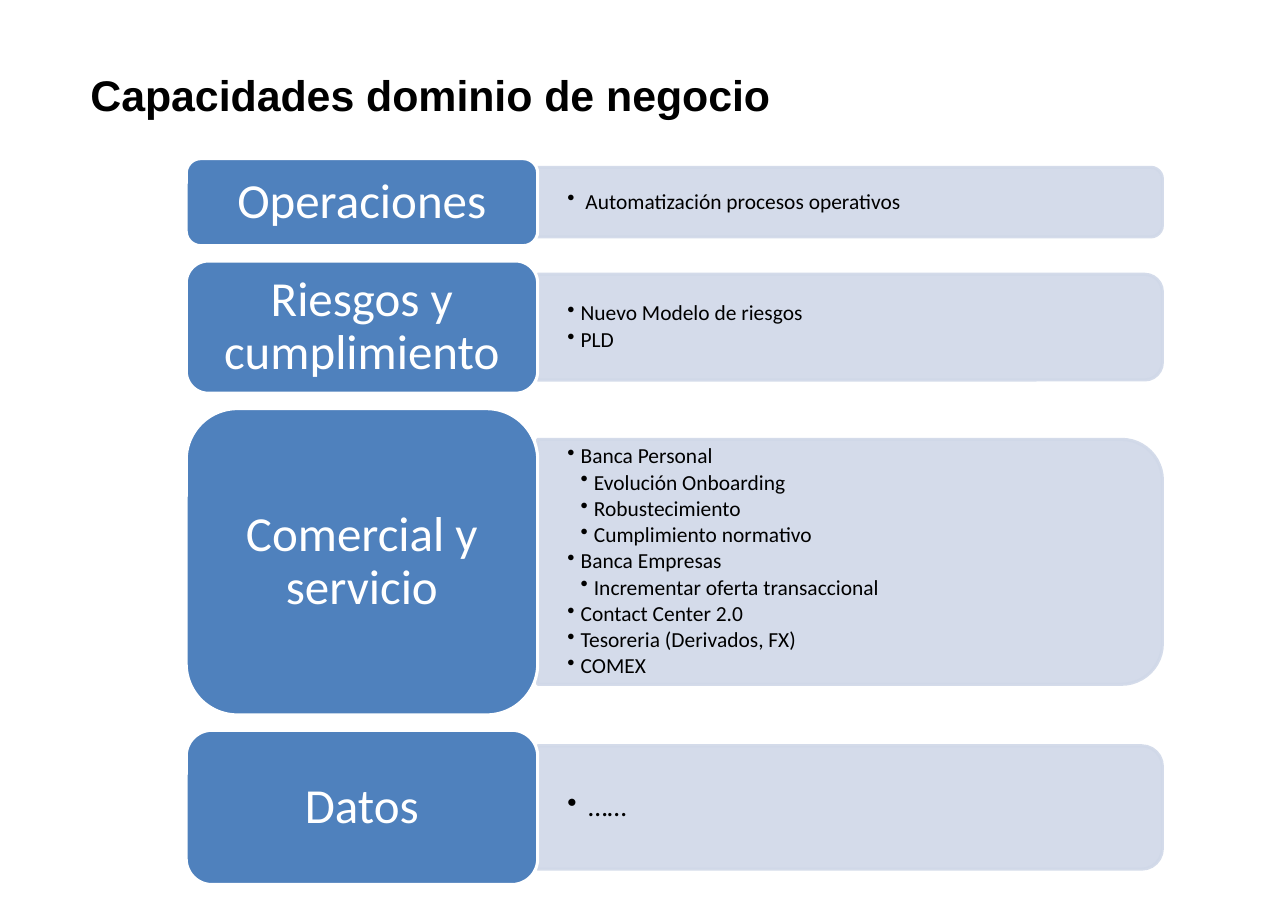
import pptx
import pptx.util
import pptx.dml.color
import pptx.enum.shapes
import pptx.enum.text
import pptx.oxml.ns
import lxml.etree

Inches, Pt = pptx.util.Inches, pptx.util.Pt
RGBColor = pptx.dml.color.RGBColor
MSO_SHAPE = pptx.enum.shapes.MSO_SHAPE
MSO_ANCHOR = pptx.enum.text.MSO_ANCHOR
PP_ALIGN = pptx.enum.text.PP_ALIGN
qn = pptx.oxml.ns.qn

BLACK = RGBColor(0x00, 0x00, 0x00)
WHITE = RGBColor(0xFF, 0xFF, 0xFF)
BLUE = RGBColor(0x4F, 0x81, 0xBD)
PALE_BLUE = RGBColor(0xD0, 0xD8, 0xE8)

LABEL_LEFT, LABEL_WIDTH = 1.69, 3.19
PANEL_LEFT, PANEL_WIDTH = LABEL_LEFT + LABEL_WIDTH, 5.67
FIRST_TOP, GAP = 1.44, 0.14
PANEL_RATIO = 0.8  # panel height relative to its label

# label, label height, bullet size, bullet hang, [(level, text)]
DOMAINS = [
    ("Operaciones", 0.79, 14, 0.12, [(1, " Automatización procesos operativos")]),
    ("Riesgos y cumplimiento", 1.2, 14, 0.12, [
        (1, "Nuevo Modelo de riesgos"),
        (1, "PLD"),
    ]),
    ("Comercial y servicio", 2.78, 14, 0.12, [
        (1, "Banca Personal"),
        (2, "Evolución Onboarding"),
        (2, "Robustecimiento"),
        (2, "Cumplimiento normativo"),
        (1, "Banca Empresas"),
        (2, "Incrementar oferta transaccional"),
        (1, "Contact Center 2.0"),
        (1, "Tesoreria (Derivados, FX)"),
        (1, "COMEX"),
    ]),
    ("Datos", 1.4, 18, 0.19, [(1, "……")]),
]


def add_block(shape_type, left, top, width, height, fill, line):
    sp = s.shapes.add_shape(shape_type, Inches(left), Inches(top), Inches(width), Inches(height))
    sp.shadow.inherit = False
    sp.fill.solid()
    sp.fill.fore_color.rgb = fill
    sp.line.color.rgb = line
    sp.line.width = Pt(2)
    return sp


def style_paragraph(p, size, color):
    p.font.name = "Calibri"
    p.font.size = Pt(size)
    p.font.color.rgb = color
    p.line_spacing = 0.9


prs = pptx.Presentation()
prs.slide_width, prs.slide_height = Inches(11.69), Inches(8.27)
s = prs.slides.add_slide(prs.slide_layouts[5])

title = s.shapes.title
title.left, title.top = Inches(0.82), Inches(0.62)
title.width, title.height = Inches(9.74), Inches(0.47)
tf = title.text_frame
tf.text = "Capacidades dominio de negocio"
tf.auto_size = pptx.enum.text.MSO_AUTO_SIZE.NONE
tf.vertical_anchor = MSO_ANCHOR.TOP
tf.margin_left = tf.margin_right = tf.margin_top = tf.margin_bottom = 0
p = tf.paragraphs[0]
p.alignment = PP_ALIGN.LEFT
p.font.name = "Arial"
p.font.size = Pt(28)
p.font.bold = True
p.font.color.rgb = BLACK

top = FIRST_TOP
for label, height, size, hang, bullets in DOMAINS:
    middle = top + height / 2
    panel_height = height * PANEL_RATIO

    # The panel is turned so that its two rounded corners face right
    panel = add_block(MSO_SHAPE.ROUND_2_SAME_RECTANGLE,
                      PANEL_LEFT + (PANEL_WIDTH - panel_height) / 2, middle - PANEL_WIDTH / 2,
                      panel_height, PANEL_WIDTH, PALE_BLUE, PALE_BLUE)
    panel.rotation = 90
    for color in panel.element.spPr.iter(qn("a:srgbClr")):
        lxml.etree.SubElement(color, qn("a:alpha"), val="90000")

    box = s.shapes.add_textbox(Inches(PANEL_LEFT), Inches(middle - panel_height / 2),
                               Inches(PANEL_WIDTH), Inches(panel_height))
    tf = box.text_frame
    tf.word_wrap = True
    tf.vertical_anchor = MSO_ANCHOR.MIDDLE
    tf.margin_left = tf.margin_right = Inches(0.27)
    tf.margin_top = tf.margin_bottom = 0
    for i, (level, text) in enumerate(bullets):
        p = tf.add_paragraph() if i else tf.paragraphs[0]
        p.text = text
        p.level = level
        style_paragraph(p, size, BLACK)
        p.space_after = Pt(2)
        pPr = p._p.get_or_add_pPr()
        pPr.set("marL", str(Inches(hang * level)))
        pPr.set("indent", str(-Inches(hang)))
        bullet = lxml.etree.Element(qn("a:buChar"), char="•")
        pPr.insert_element_before(bullet, "a:tabLst", "a:defRPr", "a:extLst")

    sp = add_block(MSO_SHAPE.ROUNDED_RECTANGLE, LABEL_LEFT, top, LABEL_WIDTH, height, BLUE, WHITE)
    tf = sp.text_frame
    tf.word_wrap = True
    tf.vertical_anchor = MSO_ANCHOR.MIDDLE
    tf.margin_left = tf.margin_right = Inches(0.13)
    tf.margin_top = tf.margin_bottom = Inches(0.07)
    p = tf.paragraphs[0]
    p.text = label
    p.alignment = PP_ALIGN.CENTER
    style_paragraph(p, 32, WHITE)

    top += height + GAP

prs.save("out.pptx")
